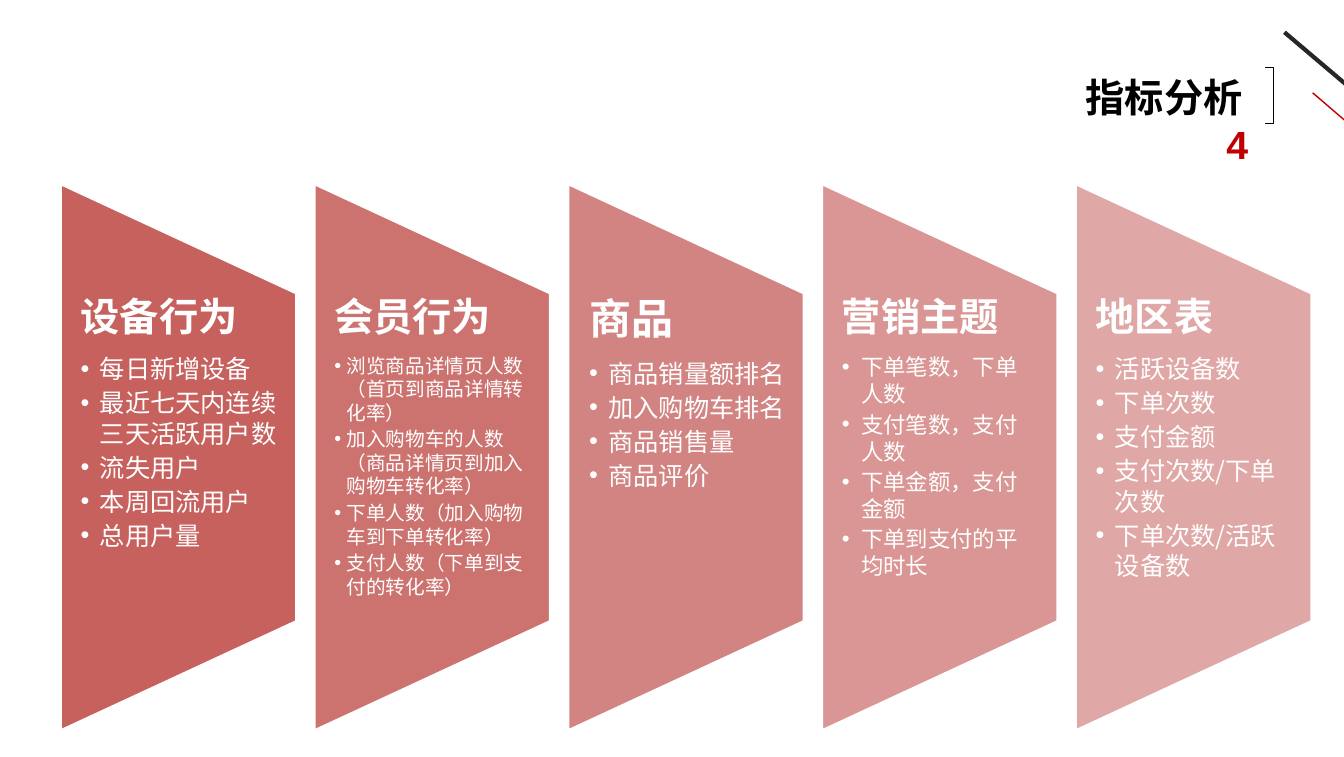
from lxml import etree
from pptx import Presentation
from pptx.dml.color import RGBColor
from pptx.enum import shapes, text
from pptx.oxml.ns import qn
from pptx.util import Inches, Pt

COLORS = {
    "panel": "C0504D",
    "accent": "C00000",
    "dark": "262626",
    "black": "000000",
    "white": "FFFFFF",
}
CJK_FONT = "Noto Sans CJK SC"

# heading, heading size, bullet size, left inset, bullet indent, bullets
COLUMNS = [
    ("设备行为", 28, 18, 0.2, 0.19,
     ["每日新增设备", "最近七天内连续三天活跃用户数", "流失用户", "本周回流用户", "总用户量"]),
    ("会员行为", 28, 14, 0.2, 0.12,
     ["浏览商品详情页人数（首页到商品详情转化率）",
      "加入购物车的人数 （商品详情页到加入购物车转化率）",
      "下单人数（加入购物车到下单转化率）",
      "支付人数（下单到支付的转化率）"]),
    ("商品", 30, 18, 0.21, 0.19,
     ["商品销量额排名", "加入购物车排名", "商品销售量", "商品评价"]),
    ("营销主题", 28, 16, 0.2, 0.19,
     ["下单笔数，下单人数", "支付笔数，支付人数", "下单金额，支付金额", "下单到支付的平均时长"]),
    ("地区表", 28, 18, 0.2, 0.19,
     ["活跃设备数", "下单次数", "支付金额", "支付次数/下单次数", "下单次数/活跃设备数"]),
]
LEFT, PITCH = 0.6, 10.06 / 4
PANEL_WIDTH, PANEL_HEIGHT, PANEL_TOP = 2.34, 5.42, 1.82


def rgb(name):
    return RGBColor.from_string(COLORS[name])


def write(paragraph, words, size, color, bold=False, font=CJK_FONT):
    """Fill a paragraph and format its run for Latin and East Asian text."""
    paragraph.text = words
    run = paragraph.runs[0]
    run.font.size = Pt(size)
    run.font.bold = bold
    run.font.color.rgb = rgb(color)
    run.font.name = font
    east_asian = etree.SubElement(run.font._element, qn("a:ea"))
    east_asian.set("typeface", font)


presentation = Presentation()
presentation.slide_width = Inches(13.32)
presentation.slide_height = Inches(7.5)
slide = presentation.slides.add_slide(presentation.slide_layouts[6])

# Corner strokes
for x1, y1, x2, y2, color, width in [
    (12.73, 0.32, 13.58, 1.04, "dark", 3),
    (13.01, 0.92, 13.43, 1.28, "accent", 1),
]:
    stroke = slide.shapes.add_connector(
        shapes.MSO_CONNECTOR.STRAIGHT, Inches(x1), Inches(y1), Inches(x2), Inches(y2))
    stroke.line.color.rgb = rgb(color)
    stroke.line.width = Pt(width)
    etree.SubElement(stroke._element.spPr, qn("a:effectLst"))

# Bracket beside the title
bracket_points = [(Inches(x), Inches(y)) for x, y in
                  [(12.54, 1.22), (12.62, 1.22), (12.62, 0.67), (12.54, 0.67)]]
builder = slide.shapes.build_freeform(*bracket_points[0])
builder.add_line_segments(bracket_points[1:], close=False)
bracket = builder.convert_to_shape()
bracket.shadow.inherit = False
bracket.fill.background()
bracket.line.color.rgb = rgb("black")
bracket.line.width = Pt(0.75)

# Title and its number
title = slide.shapes.add_textbox(Inches(10.36), Inches(0.68), Inches(2.06), Inches(0.57))
frame = title.text_frame
frame.word_wrap = True
frame.margin_left = frame.margin_right = Inches(0.05)
frame.margin_top = frame.margin_bottom = Inches(0.05)
write(frame.paragraphs[0], "指标分析", 28, "black", bold=True)
space = frame.paragraphs[0].add_run()
space.text = " "
space.font.size = Pt(18)
write(frame.add_paragraph(), "4", 28, "accent", bold=True, font="Arial")
for paragraph in frame.paragraphs:
    paragraph.alignment = text.PP_ALIGN.RIGHT

# Panels, each paler than the one before
for index, (heading, heading_size, bullet_size, inset, indent, bullets) in enumerate(COLUMNS):
    left = LEFT + index * PITCH
    turn_offset = (PANEL_HEIGHT - PANEL_WIDTH) / 2
    panel = slide.shapes.add_shape(
        shapes.MSO_SHAPE.FLOWCHART_MANUAL_OPERATION,
        Inches(left - turn_offset), Inches(PANEL_TOP + turn_offset),
        Inches(PANEL_HEIGHT), Inches(PANEL_WIDTH))
    panel.rotation = 270
    panel.shadow.inherit = False
    panel.fill.solid()
    panel.fill.fore_color.rgb = rgb("panel")
    panel_color = panel._element.spPr.find(".//" + qn("a:srgbClr"))
    etree.SubElement(panel_color, qn("a:alpha")).set("val", str(90000 - index * 10000))
    panel.line.color.rgb = rgb("white")
    panel.line.width = Pt(2)

    box = slide.shapes.add_textbox(
        Inches(left), Inches(2.9), Inches(PANEL_WIDTH), Inches(3.25))
    frame = box.text_frame
    frame.word_wrap = True
    frame.margin_left = Inches(inset)
    frame.margin_right = Inches(0.19)
    frame.margin_top = frame.margin_bottom = 0

    paragraph = frame.paragraphs[0]
    write(paragraph, heading, heading_size, "white", bold=True)
    paragraph.space_after = Pt(heading_size * 0.35)

    for words in bullets:
        paragraph = frame.add_paragraph()
        paragraph.level = 1
        properties = paragraph._p.get_or_add_pPr()
        properties.set("marL", str(Inches(indent)))
        properties.set("indent", str(-Inches(indent)))
        etree.SubElement(properties, qn("a:buFont")).set("typeface", "Arial")
        etree.SubElement(properties, qn("a:buChar")).set("char", "•")
        paragraph.space_after = Pt(bullet_size * 0.15)
        write(paragraph, words, bullet_size, "white")

presentation.save("out.pptx")
